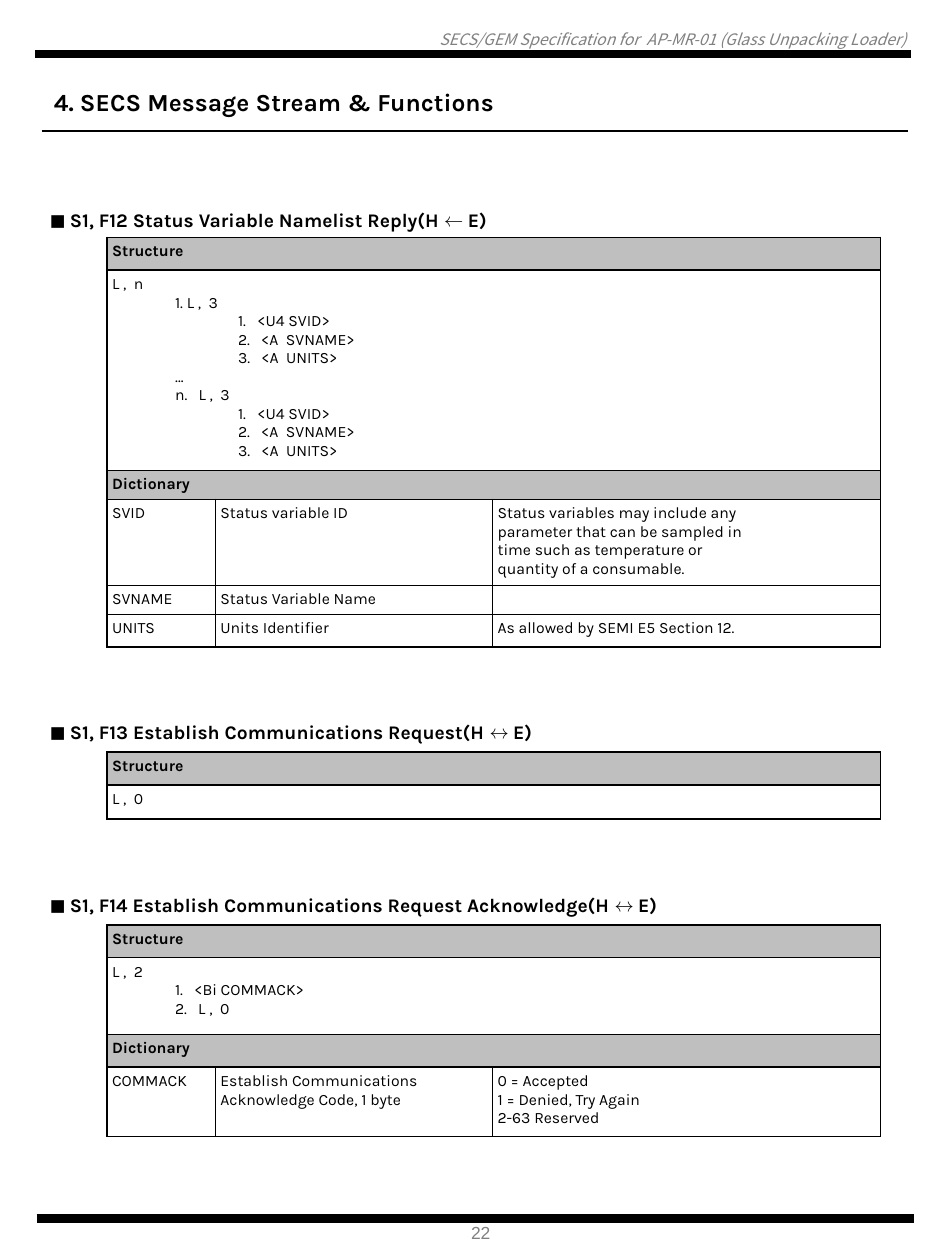
from lxml import etree
from pptx import Presentation
from pptx.dml.color import RGBColor
from pptx.enum.shapes import MSO_CONNECTOR
from pptx.enum.text import MSO_ANCHOR, MSO_AUTO_SIZE, PP_ALIGN
from pptx.oxml.ns import qn
from pptx.util import Inches, Pt

BLACK = RGBColor(0, 0, 0)
WHITE = RGBColor(255, 255, 255)
GRAY = RGBColor(0x80, 0x80, 0x80)
BAND = RGBColor(0xBF, 0xBF, 0xBF)
STRAIGHT = MSO_CONNECTOR.STRAIGHT
MIDDLE = MSO_ANCHOR.MIDDLE
FIT_SHAPE = MSO_AUTO_SIZE.SHAPE_TO_FIT_TEXT
LEFT, RIGHT = PP_ALIGN.LEFT, PP_ALIGN.RIGHT

TABLE_LEFT = 0.36
WIDE_COLUMNS = [0.49, 6.14]
DICTIONARY_COLUMNS = [0.49, 0.86, 2.2, 3.08]

VARIABLE_ITEMS = "\n".join(
    f"\t\t{i}.   <{name}>" for i, name in enumerate(["U4 SVID", "A  SVNAME", "A  UNITS"], 1)
)
NAMELIST = f"L ,  n\n\t1. L ,  3\n{VARIABLE_ITEMS}\n\t…\n\tn.   L ,  3\n{VARIABLE_ITEMS}"
VARIABLES = [
    ["SVID", "Status variable ID",
     "Status variables may include any\nparameter that can be sampled in\n"
     "time such as temperature or\nquantity of a consumable."],
    ["SVNAME", "Status Variable Name", ""],
    ["UNITS", "Units Identifier", "As allowed by SEMI E5 Section 12."],
]
ACKNOWLEDGE = "L ,  2\n\t1.   <Bi COMMACK>\n\t2.   L ,  0"
ACKNOWLEDGE_CODES = [
    ["COMMACK", "Establish Communications\nAcknowledge Code, 1 byte",
     "0 = Accepted\n1 = Denied, Try Again\n2-63 Reserved"],
]


def style_text(tf, size, font, color, bold=False, italic=False):
    """Format every run of a text frame."""
    for p in tf.paragraphs:
        for r in p.runs:
            r.font.size = Pt(size)
            r.font.name = font
            r.font.color.rgb = color
            r.font.bold = bold
            r.font.italic = italic


def add_text(s, box, text, size, font, color, align=LEFT, margin=None, wrap=False, **style):
    """Add a one-line text box."""
    tf = s.shapes.add_textbox(*map(Inches, box)).text_frame
    tf.word_wrap = wrap
    tf.auto_size = FIT_SHAPE
    if margin is not None:
        tf.margin_left = tf.margin_right = tf.margin_top = tf.margin_bottom = Inches(margin)
    tf.text = text
    tf.paragraphs[0].alignment = align
    style_text(tf, size, font, color, **style)


def add_rule(s, left, right, y, width):
    """Add a horizontal black line."""
    line = s.shapes.add_connector(STRAIGHT, Inches(left), Inches(y), Inches(right), Inches(y))
    line.line.color.rgb = BLACK
    line.line.width = Pt(width)
    etree.SubElement(line._element.spPr, qn("a:effectLst"))


def set_borders(cell, black_sides):
    """Draw the named sides in black and the others in thin white."""
    tc_pr = cell._tc.get_or_add_tcPr()
    for side in "LRTB":
        black = side in black_sides
        ln = etree.SubElement(tc_pr, qn("a:ln" + side), w=str(Pt(1 if black else 0.75)))
        fill = etree.SubElement(ln, qn("a:solidFill"))
        etree.SubElement(fill, qn("a:srgbClr"), val=str(BLACK if black else WHITE))


def prepare_cell(cell, black_sides):
    """Give a cell its margins, borders and small empty text."""
    cell.margin_left = cell.margin_right = Inches(0.04)
    cell.margin_top = cell.margin_bottom = Inches(0.04)
    set_borders(cell, black_sides)
    cell.fill.background()
    cell.text_frame.paragraphs[0]._p.get_or_add_endParaRPr().set("sz", "900")


def fill_cell(cell, text, size=9, bold=False):
    """Write text into a cell."""
    if text:
        cell.text_frame.text = text
        style_text(cell.text_frame, size, "Karla", BLACK, bold=bold)


def add_message(s, top, title, columns, heights, structure, entries=(), margin_rows=1):
    """Add the table of one message: title, structure and dictionary."""
    rows, cols = len(heights), len(columns)
    frame = s.shapes.add_table(rows, cols, Inches(TABLE_LEFT), Inches(top),
                               Inches(sum(columns)), Inches(sum(heights)))
    table = frame.table
    table.first_row = table.horz_banding = False
    for column, width in zip(table.columns, columns):
        column.width = Inches(width)
    for row, height in zip(table.rows, heights):
        row.height = Inches(height)
    for i in range(rows):
        for j in range(cols):
            prepare_cell(table.cell(i, j), "" if i == 0 else "R" if j == 0 else "LRTB")

    table.cell(0, 0).merge(table.cell(0, cols - 1))
    table.cell(0, 0).vertical_anchor = MIDDLE
    fill_cell(table.cell(0, 0), "■ " + title, 11, True)

    bands = ["Structure", structure] + (["Dictionary"] if entries else [])
    for i, text in enumerate(bands, 1):
        cell = table.cell(i, 1)
        if cols > 2:
            cell.merge(table.cell(i, cols - 1))
        is_heading = text != structure
        fill_cell(cell, text, bold=is_heading)
        if is_heading:
            cell.fill.solid()
            cell.fill.fore_color.rgb = BAND

    for i, entry in enumerate(entries, 4):
        for j, text in enumerate(entry, 1):
            fill_cell(table.cell(i, j), text)
    if margin_rows > 1:
        table.cell(3, 0).merge(table.cell(2 + margin_rows, 0))


def main():
    """Build the slide and save it."""
    prs = Presentation()
    prs.slide_width, prs.slide_height = Inches(7.5), Inches(10)
    s = prs.slides.add_slide(prs.slide_layouts[6])

    add_text(s, (0.05, 0.24, 7.14, 0.15),
             "SECS/GEM Specification for  AP-MR-01 (Glass Unpacking Loader)",
             9, "Noto Sans CJK KR", GRAY, align=RIGHT, margin=0, wrap=True, italic=True)
    add_rule(s, 0.28, 7.23, 0.43, 4.75)
    add_rule(s, 0.29, 7.25, 9.67, 4.75)
    add_text(s, (3.64, 9.65, 0.37, 0.27), "22", 10, "Arial", GRAY)

    add_message(s, 5.67, "S1, F13 Establish Communications Request(H ↔ E)",
                WIDE_COLUMNS, [0.3, 0.26, 0.27], "L ,  0")
    add_message(s, 7.04, "S1, F14 Establish Communications Request Acknowledge(H ↔ E)",
                DICTIONARY_COLUMNS, [0.3, 0.26, 0.61, 0.26, 0.55],
                ACKNOWLEDGE, ACKNOWLEDGE_CODES, margin_rows=2)
    add_message(s, 1.62, "S1, F12 Status Variable Namelist Reply(H ← E)",
                DICTIONARY_COLUMNS, [0.26, 0.26, 1.59, 0.23, 0.68, 0.23, 0.26],
                NAMELIST, VARIABLES, margin_rows=3)

    add_text(s, (0.33, 0.64, 3.86, 0.34), "4. SECS Message Stream & Functions",
             14, "Karla", BLACK, bold=True)
    add_rule(s, 0.33, 7.21, 1.04, 0.75)
    prs.save("out.pptx")


if __name__ == "__main__":
    main()
